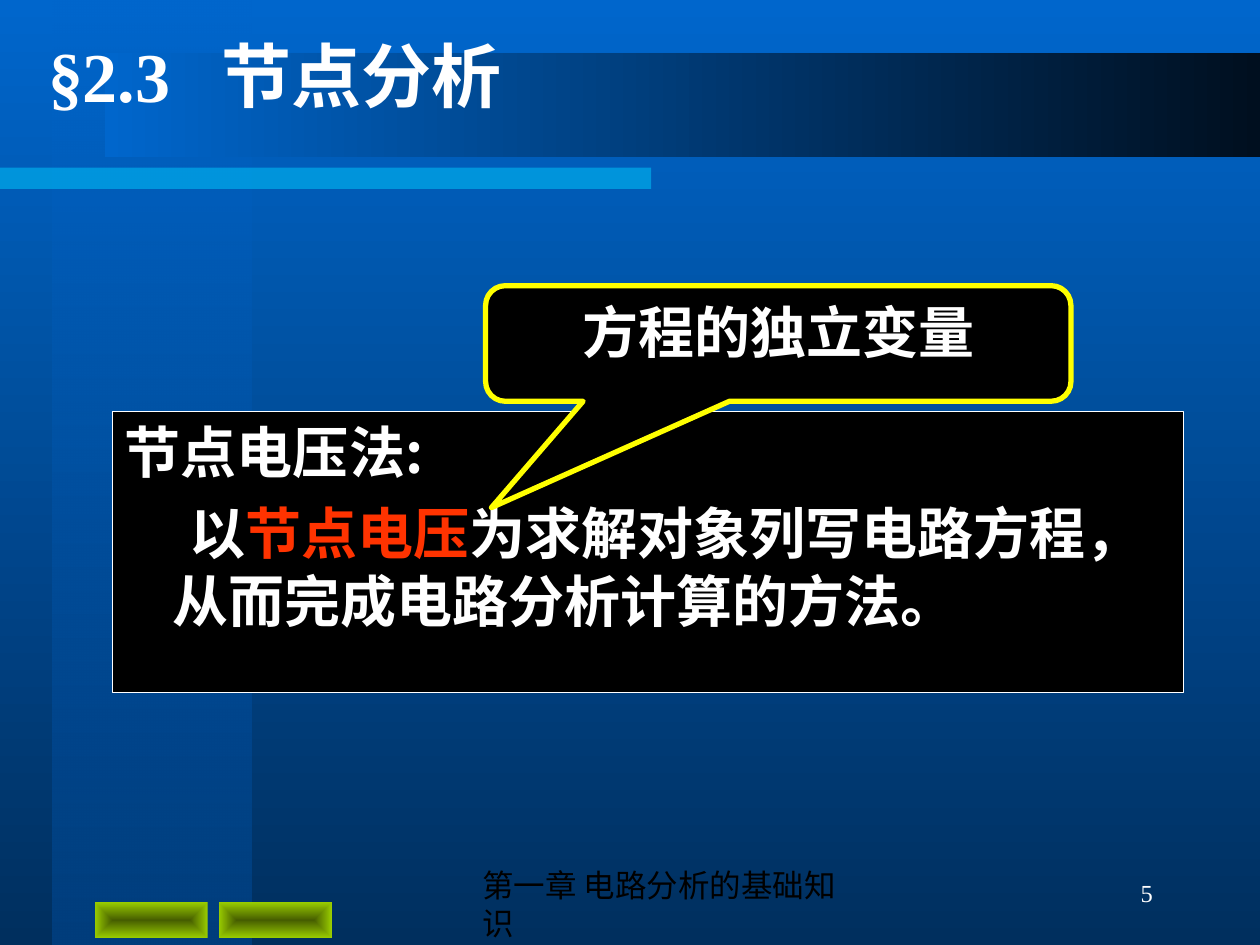
from dataclasses import dataclass

from lxml.etree import SubElement
from pptx import Presentation
from pptx.dml.color import RGBColor
from pptx.enum.shapes import MSO_SHAPE
from pptx.enum.text import MSO_ANCHOR, PP_ALIGN
from pptx.oxml.ns import qn
from pptx.util import Cm, Pt


@dataclass(frozen=True)
class Theme:
    sky: str = "0066CC"
    deep: str = "002F5E"
    column: str = "003E7D"
    night: str = "000F1F"
    cyan: str = "00CCFF"
    moss: str = "465E00"
    lime: str = "99CC00"
    black: str = "000000"
    white: str = "FFFFFF"
    yellow: str = "FFFF00"
    red: str = "FF3300"
    serif: str = "Times New Roman"
    sans: str = "Arial"
    chinese: str = "Noto Sans CJK SC"
    title_size: int = 40
    body_size: int = 32
    footer_size: int = 18
    number_size: int = 14


THEME = Theme()


def apply_format(target, values):
    for name, value in values.items():
        setattr(target, name, value)


def paint_gradient(fill, colors, angle):
    fill.gradient()
    fill.gradient_angle = angle
    for position, (stop, color) in enumerate(zip(fill.gradient_stops, colors)):
        stop.color.rgb = RGBColor.from_string(color)
        stop.position = position


def make_half_transparent(shape):
    color = next(shape._element.spPr.iter(qn("a:srgbClr")))
    SubElement(color, qn("a:alpha"), val="50000")


def make_rectangular_gradient(shape):
    gradient = shape._element.spPr.find(qn("a:gradFill"))
    gradient.remove(gradient.find(qn("a:lin")))
    route = SubElement(gradient, qn("a:path"), path="rect")
    sides = dict.fromkeys("ltrb", "50000")
    SubElement(route, qn("a:fillToRect"), **sides)


def add_block(slide, box, preset=MSO_SHAPE.RECTANGLE, fill=None, line=None, width=0.75):
    shape = slide.shapes.add_shape(preset, *map(Cm, box))
    shape.shadow.inherit = False
    if fill:
        shape.fill.solid()
        shape.fill.fore_color.rgb = RGBColor.from_string(fill)
    if line:
        shape.line.color.rgb = RGBColor.from_string(line)
        shape.line.width = Pt(width)
    else:
        shape.line.fill.background()
    return shape


def prepare_frame(shape, anchor):
    frame = shape.text_frame
    apply_format(frame, {
        "word_wrap": True, "vertical_anchor": anchor,
        "margin_left": Cm(0.25), "margin_right": Cm(0.25),
        "margin_top": Cm(0.13), "margin_bottom": Cm(0.13),
    })
    return frame


def indent_paragraph(paragraph, margin, first_line):
    properties = paragraph._p.get_or_add_pPr()
    for name, value in {"marL": margin, "indent": first_line}.items():
        properties.set(name, str(Cm(value)))


def write_runs(paragraph, runs, size, bold=False, align=PP_ALIGN.LEFT):
    paragraph.alignment = align
    for text, font_name, color in runs:
        run = paragraph.add_run()
        run.text = text
        apply_format(run.font, {"size": Pt(size), "bold": bold, "name": font_name})
        run.font.color.rgb = RGBColor.from_string(color)


def add_label(slide, box, runs, size, bold=False, align=PP_ALIGN.LEFT):
    shape = slide.shapes.add_textbox(*map(Cm, box))
    paragraph = prepare_frame(shape, MSO_ANCHOR.MIDDLE).paragraphs[0]
    write_runs(paragraph, runs, size, bold, align)
    return paragraph


def add_backdrop(slide, box):
    left, top, width, height = box
    paint_gradient(slide.background.fill, (THEME.sky, THEME.deep), 270)
    column = add_block(slide, (left + 1.06, top, 4.01, height))
    paint_gradient(column.fill, (THEME.sky, THEME.column), 270)
    make_half_transparent(column)
    stripe = add_block(slide, (left, top + 3.38, 13.13, 0.43), fill=THEME.cyan)
    make_half_transparent(stripe)
    band = add_block(slide, (left + 2.12, top + 1.06, width - 2.12, 2.11))
    paint_gradient(band.fill, (THEME.night, THEME.sky), 180)


def add_buttons(slide, box, count=2, gap=0.22):
    left, top, width, height = box
    button_width = (width - gap * (count - 1)) / count
    for index in range(count):
        button_left = left + index * (button_width + gap)
        button = add_block(slide, (button_left, top, button_width, height))
        paint_gradient(button.fill, (THEME.moss, THEME.lime), 0)
        make_rectangular_gradient(button)


def add_title(slide, box):
    runs = [("§2.3\t", THEME.serif, THEME.white), ("节点分析", THEME.chinese, THEME.white)]
    paragraph = add_label(slide, box, runs, THEME.title_size, bold=True)
    tabs = SubElement(paragraph._p.get_or_add_pPr(), qn("a:tabLst"))
    SubElement(tabs, qn("a:tab"), pos=str(Cm(3.5)), algn="l")


def add_definition(slide, box):
    panel = add_block(slide, box, fill=THEME.black, line=THEME.white)
    frame = prepare_frame(panel, MSO_ANCHOR.TOP)
    font = THEME.chinese
    heading = frame.paragraphs[0]
    write_runs(heading, [("节点电压法:", font, THEME.white)], THEME.body_size, True)
    statement = frame.add_paragraph()
    statement.space_before = Pt(8)
    indent_paragraph(statement, 0.95, 0.35)
    write_runs(statement, [
        ("以", font, THEME.white),
        ("节点电压", font, THEME.red),
        ("为求解对象列写电路方程，从而完成电路分析计算的方法。", font, THEME.white),
    ], THEME.body_size, True)


def add_callout(slide, box):
    callout = add_block(slide, box, MSO_SHAPE.ROUNDED_RECTANGULAR_CALLOUT,
                        THEME.black, THEME.yellow, 3)
    for index, value in enumerate((-0.49, 1.42, 0.17)):
        callout.adjustments[index] = value
    paragraph = prepare_frame(callout, MSO_ANCHOR.TOP).paragraphs[0]
    write_runs(paragraph, [("方程的独立变量", THEME.serif, THEME.white)],
               THEME.body_size, True, PP_ALIGN.CENTER)


def add_footer(slide, box):
    left, top, width, height = box
    add_label(slide, (left, top + 0.23, 8.05, height),
              [("第一章 电路分析的基础知识", THEME.sans, THEME.black)], THEME.footer_size)
    add_label(slide, (left + width - 5.28, top, 5.28, height),
              [("5", THEME.serif, THEME.white)], THEME.number_size, align=PP_ALIGN.RIGHT)


def main():
    presentation = Presentation()
    apply_format(presentation, {"slide_width": Cm(25.4), "slide_height": Cm(19.05)})
    slide = presentation.slides.add_slide(presentation.slide_layouts[6])
    add_backdrop(slide, (0, 0, 25.4, 19.05))
    add_buttons(slide, (1.91, 18.19, 4.78, 0.72))
    add_title(slide, (0.72, 0.82, 14.2, 1.35))
    add_definition(slide, (2.27, 8.29, 21.59, 5.67))
    add_callout(slide, (9.79, 5.76, 11.8, 2.33))
    add_footer(slide, (9.47, 17.36, 14.02, 1.27))
    presentation.save("out.pptx")


if __name__ == "__main__":
    main()
